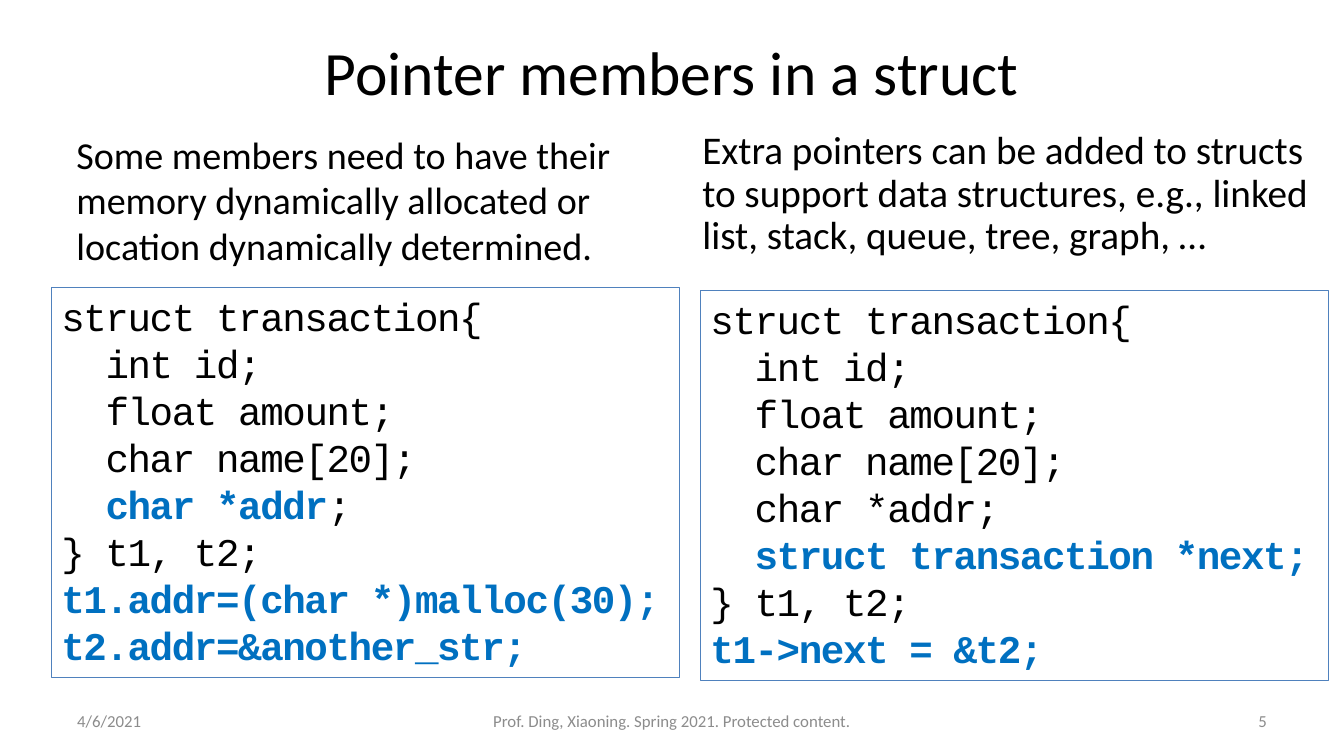
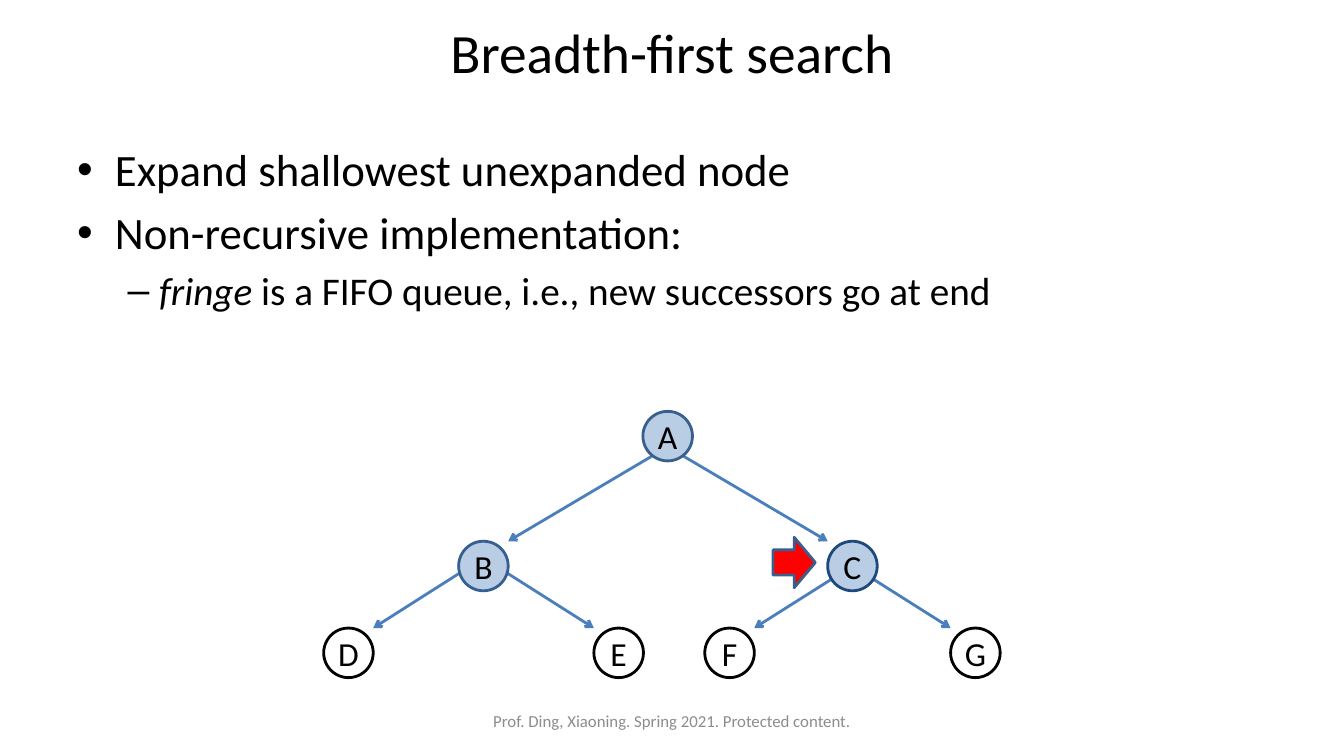
from lxml import etree
from pptx import Presentation
from pptx.dml.color import RGBColor
from pptx.enum.shapes import MSO_CONNECTOR, MSO_SHAPE
from pptx.enum.text import MSO_ANCHOR as ANCHOR, PP_ALIGN as ALIGN
from pptx.oxml.ns import qn
from pptx.util import Pt

BLACK = RGBColor(0x00, 0x00, 0x00)
WHITE = RGBColor(0xFF, 0xFF, 0xFF)
GRAY = RGBColor(0x8C, 0x8C, 0x8C)
CODE_BLUE = RGBColor(0x00, 0x70, 0xC0)
BOX_BLUE = RGBColor(0x4F, 0x81, 0xBD)
EDGE_BLUE = RGBColor(0x4B, 0x7E, 0xBC)
NODE_BLUE = RGBColor(0xB9, 0xCD, 0xE5)
NODE_LINE = RGBColor(0x3A, 0x5F, 0x8C)
B_LINE = RGBColor(0x37, 0x60, 0x92)
C_LINE = RGBColor(0x1F, 0x49, 0x7D)
RED = RGBColor(0xFF, 0x00, 0x00)
FOOTER = "Prof. Ding, Xiaoning. Spring 2021. Protected content."


def add_text(s, box, text, size, align=ALIGN.LEFT, anchor=ANCHOR.TOP, color=BLACK):
    tf = s.shapes.add_textbox(*map(Pt, box)).text_frame
    tf.word_wrap = True
    tf.vertical_anchor = anchor
    p = tf.paragraphs[0]
    p.text = text
    p.alignment = align
    p.font.name, p.font.size = "Calibri", Pt(size)
    p.font.color.rgb = color
    return p


def add_outline(s, kind, box, fill, line, width):
    sp = s.shapes.add_shape(kind, *map(Pt, box))
    sp.shadow.inherit = False
    if fill is None:
        sp.fill.background()
    else:
        sp.fill.solid()
        sp.fill.fore_color.rgb = fill
    sp.line.color.rgb = line
    sp.line.width = Pt(width)
    return sp


prs = Presentation()
prs.slide_width, prs.slide_height = Pt(960), Pt(540)

slides = []
for title, title_box, title_size in [
    ("Pointer members in a struct", (66, 15, 828, 71.5), 44),
    ("Breadth-first search", (48, 9.5, 864, 54), 39.6),
]:
    s = prs.slides.add_slide(prs.slide_layouts[6])
    add_text(s, title_box, title, title_size, ALIGN.CENTER, ANCHOR.MIDDLE)
    add_text(s, (328, 500.5, 304, 28.75), FOOTER, 12, ALIGN.CENTER, ANCHOR.MIDDLE, GRAY)
    slides.append(s)
struct_slide, search_slide = slides

for left, text, align in [(48, "4/6/2021", ALIGN.LEFT), (688, "5", ALIGN.RIGHT)]:
    add_text(struct_slide, (left, 500.5, 224, 28.75), text, 12, align, ANCHOR.MIDDLE, GRAY)

p = add_text(
    struct_slide, (47.5, 90, 427, 106),
    "Some members need to have their memory dynamically allocated "
    "or location dynamically determined.", 27.2)
p.space_before = Pt(5.4)
p = add_text(
    struct_slide, (494.6, 90, 457, 111.6),
    "Extra pointers can be added to structs to support data structures, "
    "e.g., linked list, stack, queue, tree, graph, …", 28)
p.space_before = Pt(10)
p.line_spacing = 0.9

PLAIN, BOLD = False, True
fields = [(1, [(text, PLAIN)]) for text in ("int id;", "float amount;", "char name[20];")]
opening = [(0, [("struct transaction{", PLAIN)])] + fields
closing = (0, [("} t1, t2;", PLAIN)])
alloc_code = opening + [
    (1, [("char *addr", BOLD), (";", PLAIN)]),
    closing,
    (0, [("t1.addr=(char *)malloc(30);", BOLD)]),
    (0, [("t2.addr=&another_str;", BOLD)]),
]
link_code = opening + [
    (1, [("char *addr;", PLAIN)]),
    (1, [("struct transaction *next;", BOLD)]),
    closing,
    (0, [("t1->next = &t2;", BOLD)]),
]
for left, top, code in [(36.7, 205.2, alloc_code), (500.4, 207.4, link_code)]:
    sp = add_outline(struct_slide, MSO_SHAPE.RECTANGLE, (left, top, 448.6, 278.6), None, BOX_BLUE, 0.75)
    tf = sp.text_frame
    tf.word_wrap = True
    tf.vertical_anchor = ANCHOR.TOP
    for i, (level, parts) in enumerate(code):
        p = tf.add_paragraph() if i else tf.paragraphs[0]
        p.alignment = ALIGN.LEFT
        p._p.get_or_add_pPr().set("marL", str(Pt(31.6 * level)))
        p.font.name, p.font.size = "Courier New", Pt(28)
        for text, bold in parts:
            r = p.add_run()
            r.text = text
            r.font.bold = bold
            r.font.color.rgb = CODE_BLUE if bold else BLACK
            r.font._element.set("spc", "-100")

p = add_text(search_slide, (48, 98, 876, 178.5), "Expand shallowest unexpanded node", 32)
tf = search_slide.shapes[-1].text_frame
for text, size in [("Non-recursive implementation:", 32), ("fringe", 28)]:
    p = tf.add_paragraph()
    p.text = text
    p.font.name, p.font.size = "Calibri", Pt(size)
    p.font.color.rgb = BLACK
p.level = 1
p.runs[0].font.italic = True
p.add_run().text = " is a FIFO queue, i.e., new successors go at end"
for p, margin, hang, mark in zip(tf.paragraphs, (27, 27, 58.5), (27, 27, 22.5), "••–"):
    p.space_before = Pt(p.font.size.pt * 0.2)
    pPr = p._p.get_or_add_pPr()
    pPr.set("marL", str(Pt(margin)))
    pPr.set("indent", str(-Pt(hang)))
    defaults = pPr.find(qn("a:defRPr"))
    for tag, key, value in [("a:buFont", "typeface", "Arial"), ("a:buChar", "char", mark)]:
        bullet = etree.Element(qn(tag))
        bullet.set(key, value)
        defaults.addprevious(bullet)

SIZE = 35.4
ROW_TOPS = (293.8, 386.6, 448.6)
nodes = {
    "A": (459.2, 0, NODE_BLUE, NODE_LINE),
    "B": (327.6, 1, NODE_BLUE, B_LINE),
    "C": (591.2, 1, NODE_BLUE, C_LINE),
    "D": (231.2, 2, WHITE, BLACK),
    "E": (424.2, 2, WHITE, BLACK),
    "F": (503.4, 2, WHITE, BLACK),
    "G": (679, 2, WHITE, BLACK),
}
for parent, children, spread, drop in [("A", "BC", 9, 13), ("B", "DE", 9, 0), ("C", "FG", 0, 0)]:
    x, row = nodes[parent][:2]
    for child, side, corner in zip(children, (-1, 1), (SIZE, 0)):
        child_x, child_row = nodes[child][:2]
        cn = search_slide.shapes.add_connector(
            MSO_CONNECTOR.STRAIGHT,
            Pt(x + SIZE / 2 + side * spread), Pt(ROW_TOPS[row] + SIZE / 2 + drop),
            Pt(child_x + corner), Pt(ROW_TOPS[child_row]))
        cn.line.color.rgb = EDGE_BLUE
        cn.line.width = Pt(2)
        etree.SubElement(cn.line._get_or_add_ln(), qn("a:tailEnd")).set("type", "arrow")
        etree.SubElement(cn._element.spPr, qn("a:effectLst"))

for name, (x, row, fill, line) in nodes.items():
    sp = add_outline(search_slide, MSO_SHAPE.OVAL, (x, ROW_TOPS[row], SIZE, SIZE), fill, line, 2)
    tf = sp.text_frame
    tf.word_wrap = False
    tf.margin_left = tf.margin_right = tf.margin_top = tf.margin_bottom = 0
    tf.vertical_anchor = ANCHOR.MIDDLE
    p = tf.paragraphs[0]
    p.text = name
    p.alignment = ALIGN.CENTER
    p.font.name, p.font.size = "Calibri", Pt(24)
    p.font.color.rgb = BLACK

add_outline(search_slide, MSO_SHAPE.RIGHT_ARROW, (552.2, 383.8, 30.2, 36), RED, NODE_LINE, 2)

prs.save("out.pptx")
